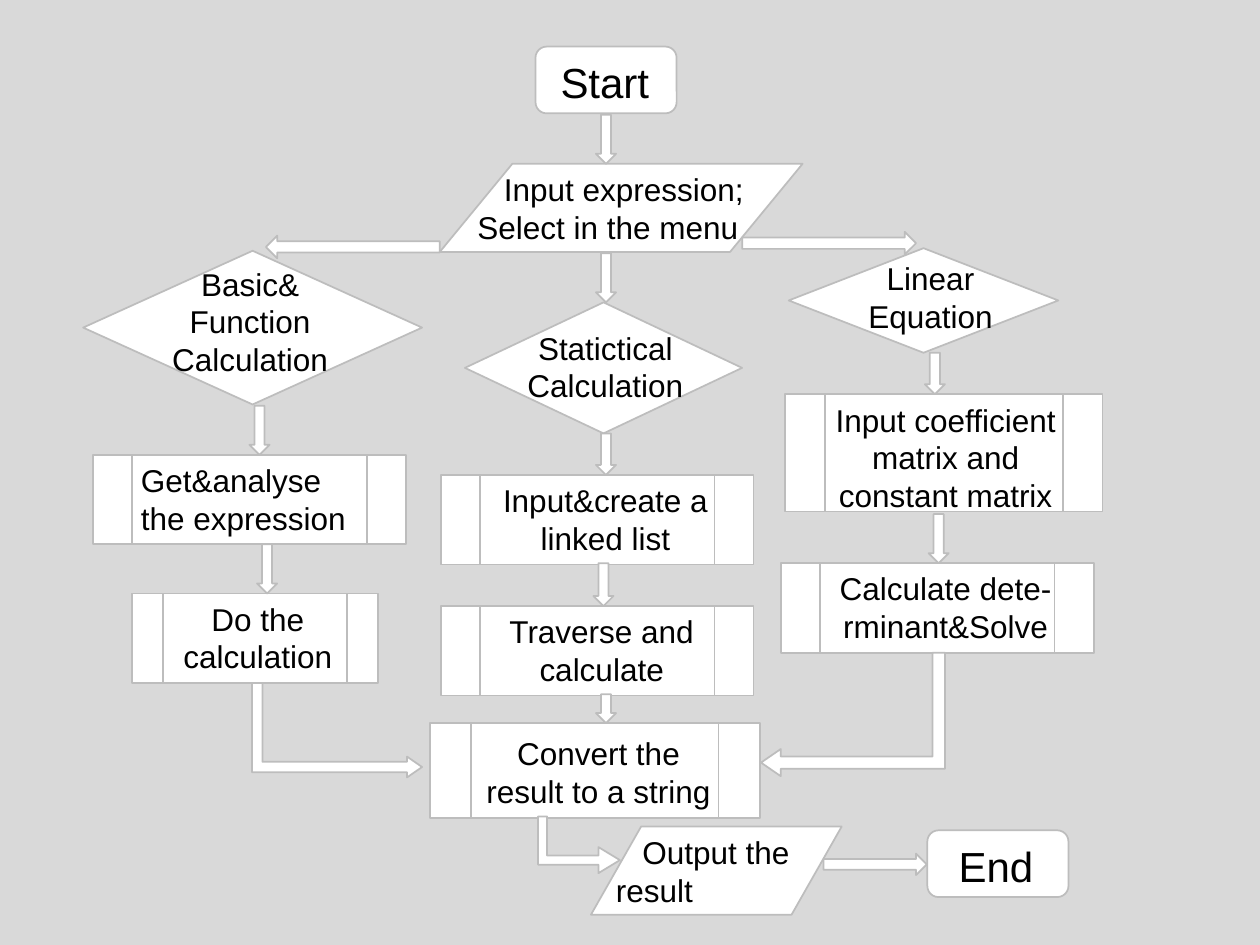
"""Build the flow chart of a calculator program on one slide."""
from dataclasses import dataclass

from pptx import Presentation
from pptx.dml.color import RGBColor
from pptx.enum.shapes import MSO_SHAPE
from pptx.enum.text import MSO_AUTO_SIZE, PP_ALIGN
from pptx.util import Inches, Pt

ROUND = MSO_SHAPE.ROUNDED_RECTANGLE
DATA = MSO_SHAPE.FLOWCHART_DATA
CHOICE = MSO_SHAPE.FLOWCHART_DECISION
PROCESS = MSO_SHAPE.FLOWCHART_PREDEFINED_PROCESS
DOWN = MSO_SHAPE.DOWN_ARROW
BENT = MSO_SHAPE.BENT_UP_ARROW
LEFT, MID = PP_ALIGN.LEFT, PP_ALIGN.CENTER
GROW = MSO_AUTO_SIZE.SHAPE_TO_FIT_TEXT


@dataclass(frozen=True)
class Theme:
    """Colours, type and grid of the slide."""
    back: RGBColor = RGBColor(0xD9, 0xD9, 0xD9)
    fill: RGBColor = RGBColor(0xFF, 0xFF, 0xFF)
    edge: RGBColor = RGBColor(0xBD, 0xBD, 0xBD)
    ink: RGBColor = RGBColor(0, 0, 0)
    face: str = "Arial"
    body: int = 18
    large: int = 24
    stroke: int = 1
    cell: int = Inches(0.1)
    cols: int = 100
    rows: int = 75


THEME = Theme()

NODES = [
    (ROUND, (42.5, 3.7, 11.2, 5.3)),
    (DATA, (34.9, 13, 28.8, 7)),
    (CHOICE, (6.6, 19.9, 26.9, 12.2)),
    (CHOICE, (36.9, 24, 22, 10.4)),
    (CHOICE, (62.6, 19.7, 21.4, 8.3)),
    (PROCESS, (7.4, 36.1, 24.8, 7.1)),
    (PROCESS, (10.5, 47.1, 19.5, 7.1)),
    (PROCESS, (35, 37.7, 24.8, 7.1)),
    (PROCESS, (35, 48.1, 24.8, 7.1)),
    (PROCESS, (62.3, 31.3, 25.2, 9.3)),
    (PROCESS, (62, 44.7, 24.8, 7.1)),
    (PROCESS, (34.1, 57.4, 26.2, 7.5)),
    (DATA, (46.9, 65.6, 19.9, 7)),
    (ROUND, (73.6, 65.9, 11.2, 5.3)),
]

LABELS = [
    ((43.5, 4, 10.8, 5), ["Start"], LEFT, THEME.large, 0),
    ((36.9, 13, 23.5, 7.1), ["Input expression;", "Select in the menu"],
     LEFT, THEME.body, 2.1),
    ((11.7, 20.5, 16.3, 10.1), ["Basic&", "Function Calculation"],
     MID, THEME.body, 0),
    ((39.9, 25.6, 16.3, 7), ["Statictical Calculation"], MID, THEME.body, 0),
    ((67.2, 20.1, 13.3, 7), ["Linear Equation"], MID, THEME.body, 0),
    ((10.2, 36.1, 19.5, 7), ["Get&analyse the expression"],
     LEFT, THEME.body, 0),
    ((10.7, 47.1, 19.5, 7), ["Do the calculation"], MID, THEME.body, 0),
    ((38.3, 37.7, 19.5, 7.1), ["Input&create a linked list"],
     MID, THEME.body, 0),
    ((38, 48.1, 19.5, 7), ["Traverse and calculate"], MID, THEME.body, 0),
    ((65.3, 31.3, 19.5, 10.1),
     ["Input coefficient matrix and constant matrix"], MID, THEME.body, 0),
    ((65.3, 44.7, 19.5, 7.1), ["Calculate dete-", "rminant&Solve"],
     MID, THEME.body, 0),
    ((37.2, 57.8, 20.6, 7), ["Convert the result to a string"],
     MID, THEME.body, 0),
    ((47.9, 65.6, 23.5, 10.1), ["Output the", "result"],
     LEFT, THEME.body, 2.1),
    ((75.1, 66.2, 10.8, 5), ["End"], LEFT, THEME.large, 0),
]

DROPS = [
    (48.1, 9.1, 13), (48.1, 20.1, 24), (48.1, 34.4, 37.7),
    (47.9, 44.7, 48.1), (48.1, 55.1, 57.4),
    (20.6, 32.2, 36.1), (21.2, 43.2, 47.1),
    (74.2, 28, 31.3), (74.5, 40.8, 44.7),
]

SIDES = [
    ((27.1, 12.7, 1.8, 13.8), 90),
    ((64.9, 12.4, 1.8, 13.8), 270),
    ((68.6, 64.5, 1.7, 8.2), 270),
]

BENDS = [
    ((23, 51.2, 7.5, 13.5), (0.11, 0.11, 0.16), False),
    ((62.8, 49.4, 9.8, 14.6), (0.1, 0.11, 0.16), True),
    ((43.7, 63.8, 4.5, 6.5), (0.16, 0.23, 0.38), False),
]


def apply(item, look):
    """Set each value of a format dict on an object."""
    for name, value in look.items():
        setattr(item, name, value)


def scale(box):
    """Turn grid units into slide lengths."""
    return [round(n * THEME.cell) for n in box]


def add_form(slide, kind, box, turn=0):
    """Add one outlined white shape."""
    form = slide.shapes.add_shape(kind, *scale(box))
    form.shadow.inherit = False
    form.fill.solid()
    form.fill.fore_color.rgb = THEME.fill
    form.line.color.rgb = THEME.edge
    form.line.width = Pt(THEME.stroke)
    form.rotation = turn
    return form


def add_drop(slide, mid, top, end):
    """Add a downward arrow between two rows."""
    wide = 1.6
    add_form(slide, DOWN, (mid - wide / 2, top, wide, end - top))


def add_bend(slide, box, ratios, flip):
    """Add a bent arrow, mirrored when flip is set."""
    form = add_form(slide, BENT, box, 90)
    for i, ratio in enumerate(ratios):
        form.adjustments[i] = ratio
    if flip:
        form._element.spPr.get_or_add_xfrm().set("flipV", "1")


def add_label(slide, box, lines, align, size, indent):
    """Add a text box with one paragraph per line."""
    frame = slide.shapes.add_textbox(*scale(box)).text_frame
    apply(frame, {"word_wrap": True, "auto_size": GROW})
    frame.text = "\n".join(lines)
    for par in frame.paragraphs:
        par.alignment = align
        apply(par.font, {"name": THEME.face, "size": Pt(size)})
        par.font.color.rgb = THEME.ink
    if indent:
        first = frame.paragraphs[0]._p.get_or_add_pPr()
        first.set("indent", str(round(indent * THEME.cell)))


def main():
    """Draw the chart and save the deck."""
    deck = Presentation()
    apply(deck, {"slide_width": THEME.cols * THEME.cell,
                 "slide_height": THEME.rows * THEME.cell})
    slide = deck.slides.add_slide(deck.slide_layouts[6])
    slide.background.fill.solid()
    slide.background.fill.fore_color.rgb = THEME.back
    for kind, box in NODES:
        add_form(slide, kind, box)
    for drop in DROPS:
        add_drop(slide, *drop)
    for box, turn in SIDES:
        add_form(slide, DOWN, box, turn)
    for bend in BENDS:
        add_bend(slide, *bend)
    for label in LABELS:
        add_label(slide, *label)
    deck.save("out.pptx")


if __name__ == "__main__":
    main()
